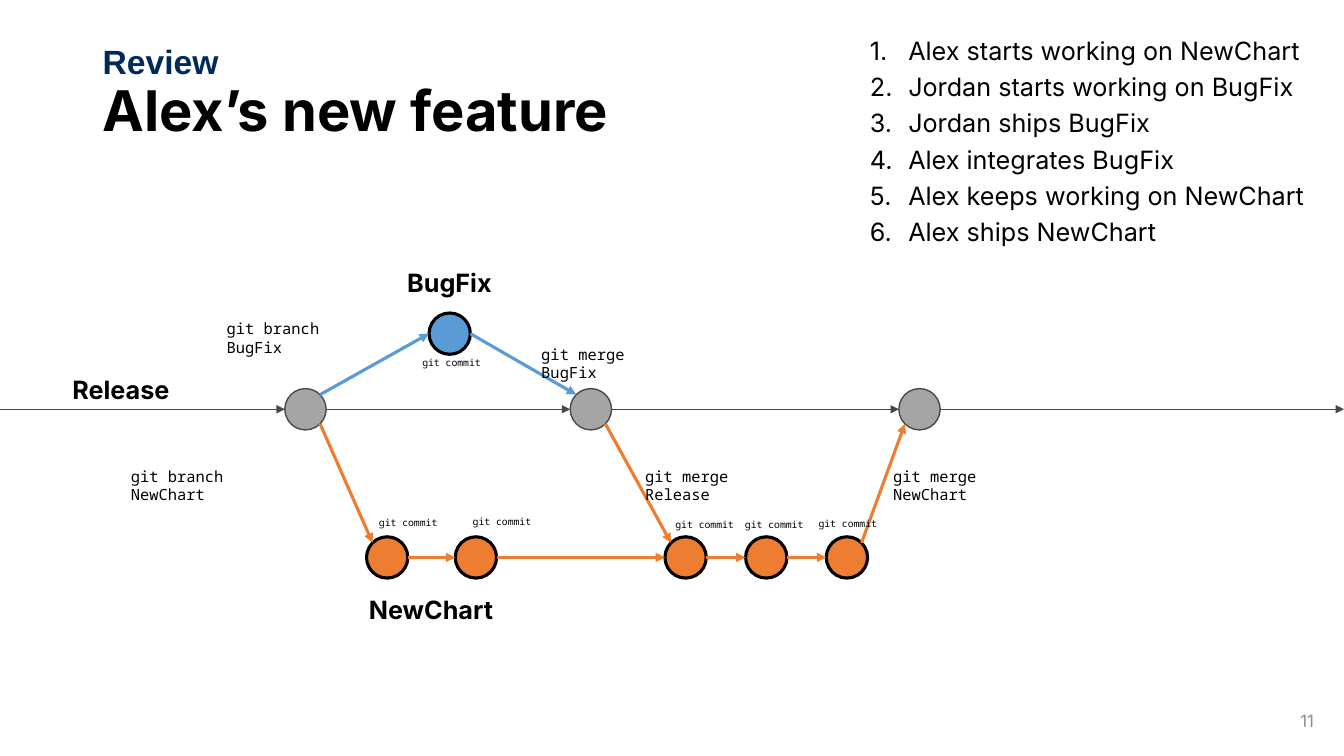
"""Build a slide that reviews a git branching story as a commit graph."""
from math import sqrt

from lxml import etree
from pptx import Presentation
from pptx.dml.color import RGBColor
from pptx.enum.shapes import MSO_CONNECTOR, MSO_SHAPE
from pptx.enum.text import MSO_ANCHOR, PP_ALIGN
from pptx.oxml.ns import qn
from pptx.util import Inches, Pt

STRAIGHT, OVAL = MSO_CONNECTOR.STRAIGHT, MSO_SHAPE.OVAL
TOP, MIDDLE = MSO_ANCHOR.TOP, MSO_ANCHOR.MIDDLE
LEFT, RIGHT = PP_ALIGN.LEFT, PP_ALIGN.RIGHT

THEME = {
    "black": "000000", "navy": "002A5C", "muted": "8C8C8C", "rule": "484848",
    "release": "A5A5A5", "newchart": "ED7D31", "bugfix": "5B9BD5",
    "sans": "Inter", "kicker": "Arial", "mono": "Noto Sans Mono",
    "title_pt": 40, "kicker_pt": 24, "body_pt": 18, "page_pt": 12,
    "command_pt": 11, "commit_pt": 7, "thin_pt": 1, "thick_pt": 2.25,
}

STEPS = [
    "Alex starts working on NewChart", "Jordan starts working on BugFix",
    "Jordan ships BugFix", "Alex integrates BugFix",
    "Alex keeps working on NewChart", "Alex ships NewChart",
]
BRANCH_NAMES = [
    ("Release", 0.62, 3.66, 1.18),
    ("NewChart", 3.56, 5.85, 1.45),
    ("BugFix", 3.94, 2.6, 1.05),
]
COMMANDS = [
    ("git branch\vNewChart", 1.2, 4.58), ("git branch\vBugFix", 2.15, 3.12),
    ("git merge\vBugFix", 5.27, 3.37), ("git merge\vRelease", 6.3, 4.58),
    ("git merge\vNewChart", 8.76, 4.58),
]
COMMIT_LABELS = [(3.66, 5.08), (4.59, 5.07), (4.09, 3.49),
                 (6.6, 5.1), (7.29, 5.1), (8.02, 5.09)]

DIAMETER = 0.41
RADIUS = DIAMETER / 2
DIAGONAL = RADIUS / sqrt(2)
SLIDE_W, SLIDE_H = 13.33, 7.5
LANES = {
    "release": (4.06, [3.03, 5.86, 9.12]),
    "newchart": (5.53, [3.84, 4.72, 6.8, 7.6, 8.4]),
    "bugfix": (3.31, [4.46]),
}
CROSSINGS = [
    (("release", 0, 1, -1), ("bugfix", 0, -1, 0), "bugfix"),
    (("bugfix", 0, 1, 0), ("release", 1, -1, -1), "bugfix"),
    (("release", 0, 1, 1), ("newchart", 0, -1, -1), "newchart"),
    (("release", 1, 1, 1), ("newchart", 2, -1, -1), "newchart"),
    (("newchart", 4, 1, -1), ("release", 2, -1, 1), "newchart"),
]


def color(name):
    return RGBColor.from_string(THEME[name])


def add_text(s, paragraphs, box, size, font="sans", ink="black", bold=False,
             anchor=TOP, align=LEFT, wrap=False, spacing=None):
    tf = s.shapes.add_textbox(*map(Inches, box)).text_frame
    tf.word_wrap = wrap
    tf.vertical_anchor = anchor
    tf.text = "\n".join(paragraphs)
    for p in tf.paragraphs:
        p.alignment = align
        p.line_spacing = spacing
        for r in p.runs:
            r.font.name = THEME[font]
            r.font.size = Pt(THEME[size])
            r.font.bold = bold
            r.font.color.rgb = color(ink)
    return tf


def number_paragraphs(tf, indent):
    for p in tf.paragraphs:
        pPr = p._p.get_or_add_pPr()
        pPr.set("marL", str(Inches(indent)))
        pPr.set("indent", str(-Inches(indent)))
        etree.SubElement(pPr, qn("a:buFont"), typeface="+mj-lt")
        etree.SubElement(pPr, qn("a:buAutoNum"), type="arabicPeriod")


def add_arrow(s, start, end, ink, width):
    c = s.shapes.add_connector(STRAIGHT, *map(Inches, (*start, *end)))
    c.line.color.rgb = color(ink)
    c.line.width = Pt(THEME[width])
    etree.SubElement(c.line._get_or_add_ln(), qn("a:tailEnd"), type="triangle")
    etree.SubElement(c._element.spPr, qn("a:effectLst"))


def add_node(s, x, y, lane):
    sp = s.shapes.add_shape(OVAL, Inches(x - RADIUS), Inches(y - RADIUS),
                            Inches(DIAMETER), Inches(DIAMETER))
    sp.shadow.inherit = False
    sp.fill.solid()
    sp.fill.fore_color.rgb = color(lane)
    trunk = lane == "release"
    sp.line.color.rgb = color("rule" if trunk else "black")
    sp.line.width = Pt(THEME["thin_pt" if trunk else "thick_pt"])


def rim(lane, index, dx, dy):
    y, xs = LANES[lane]
    reach = DIAGONAL if dx and dy else RADIUS
    return xs[index] + dx * reach, y + dy * reach


def add_graph(s):
    for lane, (y, xs) in LANES.items():
        for x in xs:
            add_node(s, x, y, lane)
        starts = [x + RADIUS for x in xs]
        ends = [x - RADIUS for x in xs]
        ink, width = lane, "thick_pt"
        if lane == "release":
            starts, ends = [0] + starts, ends + [SLIDE_W]
            ink, width = "rule", "thin_pt"
        else:
            ends = ends[1:]
        for x1, x2 in zip(starts, ends):
            add_arrow(s, (x1, y), (x2, y), ink, width)
    for start, end, ink in CROSSINGS:
        add_arrow(s, rim(*start), rim(*end), ink, "thick_pt")


def main():
    prs = Presentation()
    prs.slide_width, prs.slide_height = Inches(SLIDE_W), Inches(SLIDE_H)
    s = prs.slides.add_slide(prs.slide_layouts[6])
    add_text(s, ["Alex’s new feature"], (0.92, 0.4, 11.5, 1.45), "title_pt",
             bold=True, anchor=MIDDLE, wrap=True, spacing=0.9)
    add_text(s, ["Review"], (0.92, 0.4, 8.49, 0.5), "kicker_pt", "kicker",
             "navy", bold=True, wrap=True, spacing=0.9)
    add_text(s, ["11"], (10.13, 6.95, 3, 0.4), "page_pt", ink="muted",
             anchor=MIDDLE, align=RIGHT, wrap=True)
    add_graph(s)
    for name, x, y, w in BRANCH_NAMES:
        add_text(s, [name], (x, y, w, 0.4), "body_pt", bold=True)
    for command, x, y in COMMANDS:
        add_text(s, [command], (x, y, 1.8, 0.29), "command_pt", "mono", wrap=True)
    for x, y in COMMIT_LABELS:
        add_text(s, ["git commit"], (x, y, 0.78, 0.22), "commit_pt", "mono")
    steps = add_text(s, STEPS, (8.53, 0.24, 4.51, 2.25), "body_pt", spacing=1.2)
    number_paragraphs(steps, 0.38)
    prs.save("out.pptx")


if __name__ == "__main__":
    main()
